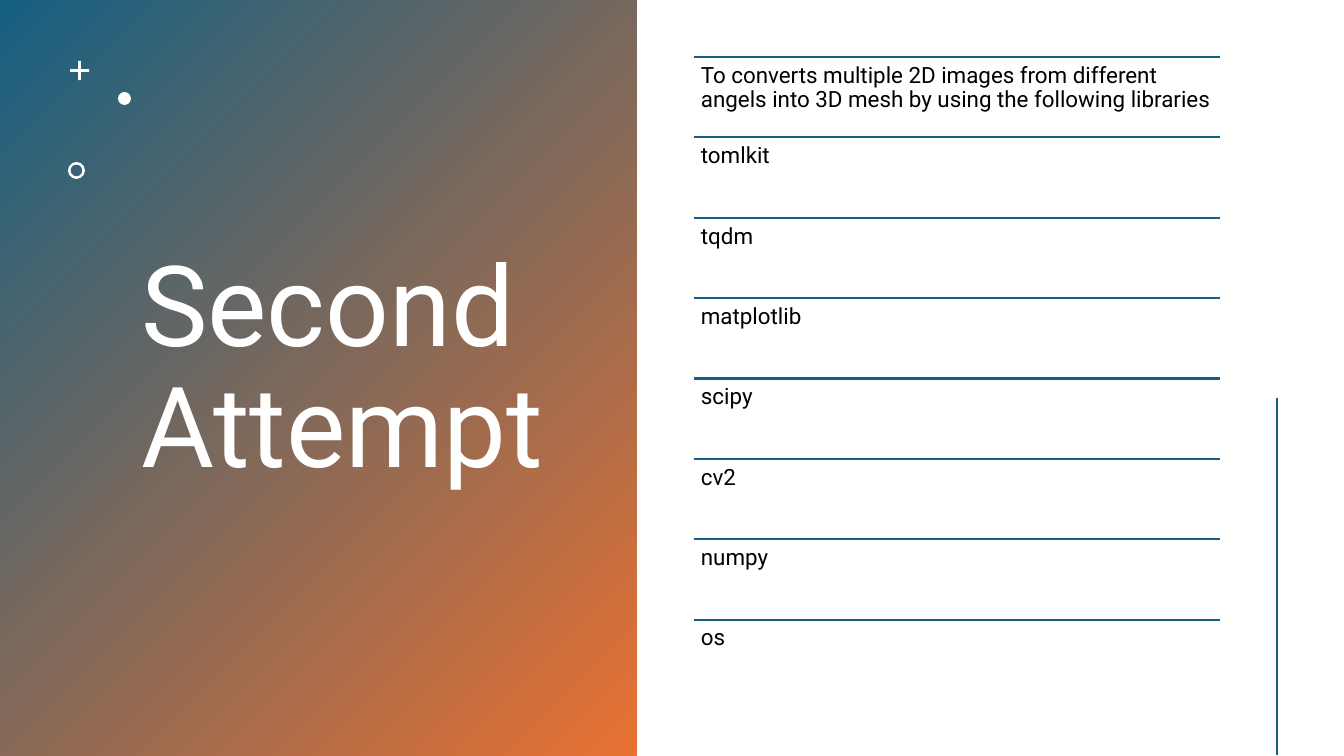
"""Build the "Second Attempt" slide: gradient title panel and a ruled list of libraries."""
from lxml import etree
from pptx import Presentation
from pptx.dml.color import RGBColor
from pptx.enum.shapes import MSO_CONNECTOR, MSO_SHAPE
from pptx.enum.text import MSO_ANCHOR, MSO_AUTO_SIZE, PP_ALIGN
from pptx.oxml.ns import qn
from pptx.util import Pt

STRAIGHT = MSO_CONNECTOR.STRAIGHT
RECTANGLE, CROSS = MSO_SHAPE.RECTANGLE, MSO_SHAPE.CROSS
OVAL, DONUT = MSO_SHAPE.OVAL, MSO_SHAPE.DONUT
TOP, MIDDLE = MSO_ANCHOR.TOP, MSO_ANCHOR.MIDDLE
NO_AUTOFIT, LEFT = MSO_AUTO_SIZE.NONE, PP_ALIGN.LEFT

BLUE = RGBColor(0x15, 0x60, 0x82)
ORANGE = RGBColor(0xE9, 0x71, 0x32)
WHITE = RGBColor(0xFF, 0xFF, 0xFF)
BLACK = RGBColor(0x00, 0x00, 0x00)
FONT = "Roboto"

TITLE = "Second Attempt"
ROWS = [
    "To converts multiple 2D images from different angels into 3D mesh by using the following libraries",
    "tomlkit",
    "tqdm",
    "matplotlib",
    "scipy",
    "cv2",
    "numpy",
    "os",
]

SLIDE_SIZE = (1344, 756)
PANEL_BOX = (0, 0, 637, 756)
TITLE_BOX = (131, 42, 442, 658)
LIST_BOX = (694, 57, 526, 643)
INSET = 7
SIDE_LINE = (1277, 398, 1277, 755)
ORNAMENTS = [
    (CROSS, (70, 61, 19, 19), 0.43),
    (OVAL, (118, 92, 13, 13), None),
    (DONUT, (68, 162, 17, 17), 0.15),
]


def px(*lengths):
    return [round(length * 914400 / 100.8) for length in lengths]


def add_plain_shape(slide, kind, box):
    shape = slide.shapes.add_shape(kind, *px(*box))
    shape.shadow.inherit = False
    shape.line.fill.background()
    return shape


def add_line(slide, ends, width):
    line = slide.shapes.add_connector(STRAIGHT, *px(*ends))
    line.line.color.rgb = BLUE
    line.line.width = Pt(width)
    etree.SubElement(line._element.spPr, qn("a:effectLst"))


def write_text(shape, text, size, color, anchor):
    frame = shape.text_frame
    frame.word_wrap = True
    frame.auto_size = NO_AUTOFIT
    frame.vertical_anchor = anchor
    paragraph = frame.paragraphs[0]
    paragraph.alignment = LEFT
    paragraph.line_spacing = 0.9
    run = paragraph.add_run()
    run.text = text
    run.font.name = FONT
    run.font.size = Pt(size)
    run.font.color.rgb = color


def add_panel(slide):
    fill = add_plain_shape(slide, RECTANGLE, PANEL_BOX).fill
    fill.gradient()
    fill.gradient_angle = 315
    for stop, color in zip(fill.gradient_stops, (BLUE, ORANGE)):
        stop.color.rgb = color


def add_title(slide):
    title = slide.shapes.title
    title.left, title.top, title.width, title.height = px(*TITLE_BOX)
    write_text(title, TITLE, 80, WHITE, MIDDLE)
    slide.shapes._spTree.append(title._element)


def add_ornaments(slide):
    for kind, box, adjustment in ORNAMENTS:
        shape = add_plain_shape(slide, kind, box)
        shape.fill.solid()
        shape.fill.fore_color.rgb = WHITE
        if adjustment is not None:
            shape.adjustments[0] = adjustment


def add_list(slide):
    left, list_top, width, list_height = LIST_BOX
    height = list_height / len(ROWS)
    for index, text in enumerate(ROWS):
        top = list_top + index * height
        add_line(slide, (left, top, left + width, top), 1.5)
        box = slide.shapes.add_textbox(*px(left, top, width, height))
        frame = box.text_frame
        frame.margin_left, frame.margin_top, frame.margin_right, frame.margin_bottom = px(*[INSET] * 4)
        write_text(box, text, 16, BLACK, TOP)


def main():
    presentation = Presentation()
    presentation.slide_width, presentation.slide_height = px(*SLIDE_SIZE)
    slide = presentation.slides.add_slide(presentation.slide_layouts.get_by_name("Title Only"))
    add_panel(slide)
    add_title(slide)
    add_ornaments(slide)
    add_list(slide)
    add_line(slide, SIDE_LINE, 2)
    presentation.save("out.pptx")


if __name__ == "__main__":
    main()
